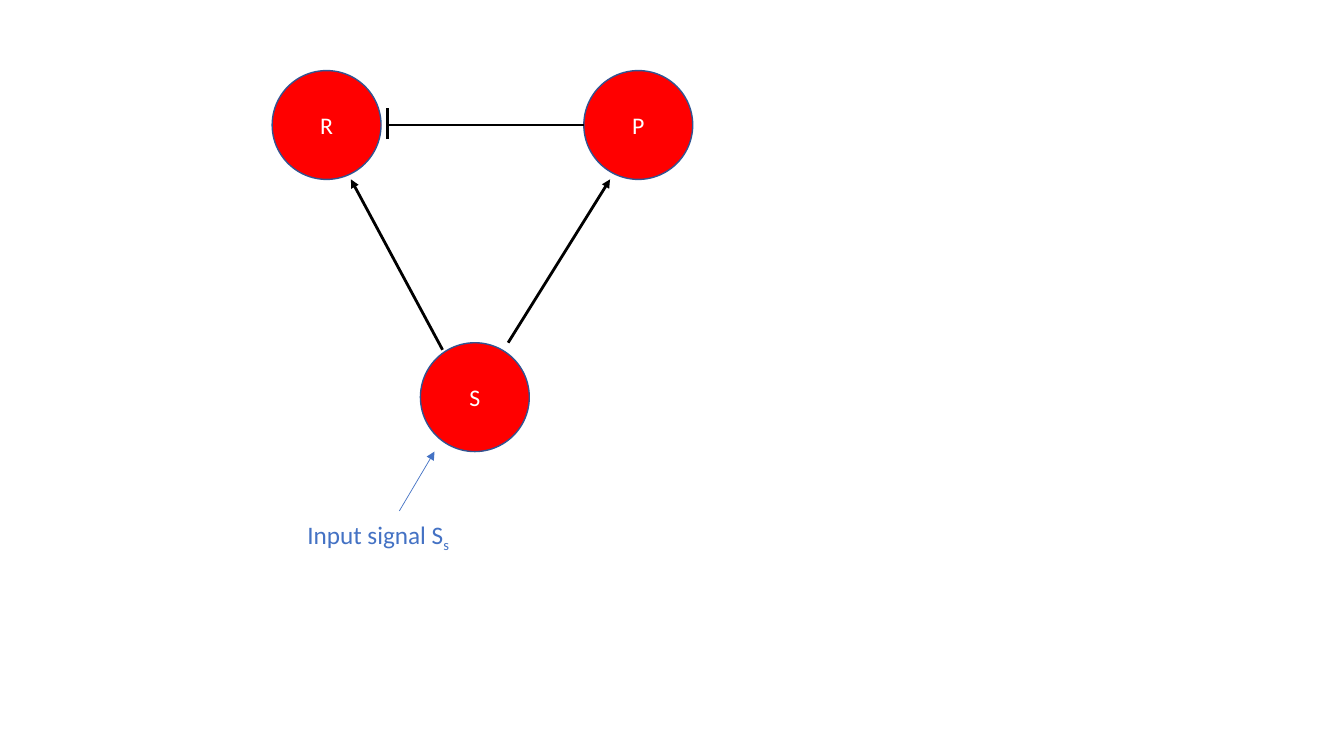
from pptx import Presentation
from pptx.dml.color import RGBColor as RGB
from pptx.enum.shapes import MSO_CONNECTOR as Conn, MSO_SHAPE as Shape
from pptx.enum.text import MSO_ANCHOR as Anchor, MSO_AUTO_SIZE as Fit, PP_ALIGN as Align
from pptx.oxml.ns import qn
from pptx.util import Inches, Pt
from lxml.etree import SubElement as Sub

theme = {
    "font": "Calibri", "node": "FF0000", "edge": "325491", "text": "FFFFFF",
    "link": "000000", "input": "4472C4", "node_size": 17, "label_size": 18,
}

deck = Presentation()
deck.slide_width, deck.slide_height = Inches(13.33), Inches(7.5)
slide = deck.slides.add_slide(deck.slide_layouts[6])
shapes = slide.shapes


def place(x, y):
    """Turn percent of slide width and height into lengths."""
    return int(deck.slide_width * x / 100), int(deck.slide_height * y / 100)


def write(par, text, size, color):
    run = par.add_run()
    run.text = text
    for name, value in {"name": theme["font"], "size": Pt(size)}.items():
        setattr(run.font, name, value)
    run.font.color.rgb = RGB.from_string(color)
    return run


# Nodes, given by their centres
size = place(8.1, 0)[0]
nodes = {"R": (24.3, 16.53), "P": (47.49, 16.53), "S": (35.33, 52.53)}
for name, spot in nodes.items():
    x, y = place(*spot)
    node = shapes.add_shape(Shape.OVAL, x - size // 2, y - size // 2, size, size)
    node.shadow.inherit = False
    node.fill.solid()
    node.fill.fore_color.rgb = RGB.from_string(theme["node"])
    node.line.color.rgb = RGB.from_string(theme["edge"])
    node.line.width = Pt(1)
    frame = node.text_frame
    for side in ("left", "top", "right", "bottom"):
        setattr(frame, "margin_" + side, 0)
    frame.vertical_anchor = Anchor.MIDDLE
    par = frame.paragraphs[0]
    par.alignment = Align.CENTER
    write(par, name, theme["node_size"], theme["text"])

# Links: start, end, colour, width, arrow
links = [
    ((32.93, 46.27), (26.11, 23.73), "link", 2, True),     # S to R
    ((37.81, 45.33), (45.39, 23.73), "link", 2, True),     # S to P
    ((28.81, 16.53), (43.44, 16.53), "link", 2, False),    # P blocks R
    ((28.81, 18.4), (28.81, 14.27), "link", 2, False),     # block bar
    ((29.71, 67.6), (32.33, 59.73), "input", 0.5, True),   # input to S
]
for start, end, color, width, arrow in links:
    link = shapes.add_connector(Conn.STRAIGHT, *place(*start), *place(*end))
    link.line.color.rgb = RGB.from_string(theme[color])
    link.line.width = Pt(width)
    if arrow:
        Sub(link.line._get_or_add_ln(), qn("a:tailEnd"), type="triangle")
    Sub(link._element.spPr, qn("a:effectLst"))

# Input label with a subscript
label = shapes.add_textbox(*place(22.13, 68), *place(12.53, 5.33))
frame = label.text_frame
frame.word_wrap = False
frame.auto_size = Fit.SHAPE_TO_FIT_TEXT
par = frame.paragraphs[0]
write(par, "Input signal S", theme["label_size"], theme["input"])
sub = write(par, "s", theme["label_size"], theme["input"])
sub._r.get_or_add_rPr().set("baseline", "-25000")

deck.save("out.pptx")
